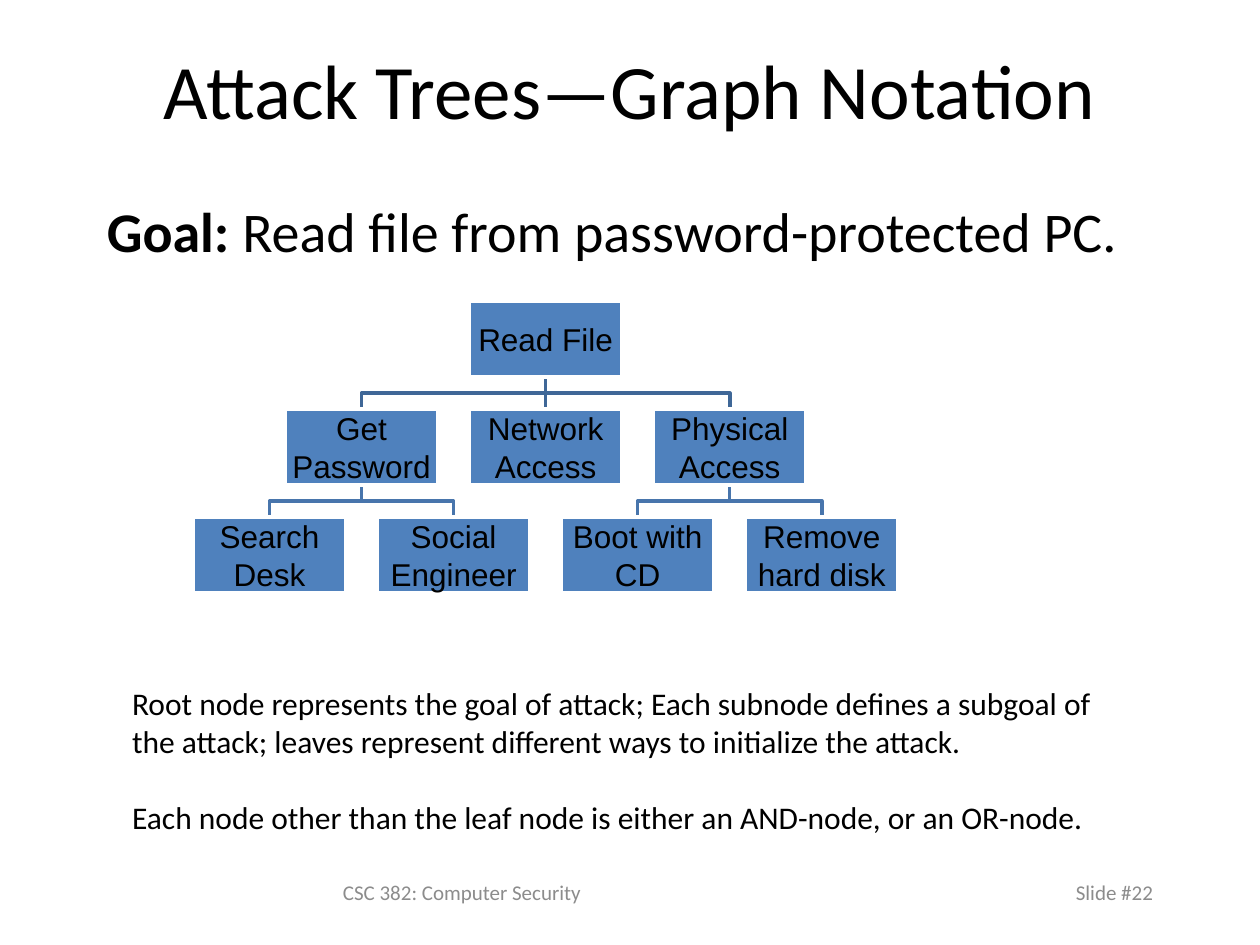
from pptx import Presentation
from pptx.dml.color import RGBColor
from pptx.enum import shapes, text
from pptx.util import Pt

BLACK = RGBColor(0x00, 0x00, 0x00)
WHITE = RGBColor(0xFF, 0xFF, 0xFF)
GRAY = RGBColor(0x8C, 0x8C, 0x8C)
BLUE = RGBColor(0x4F, 0x81, 0xBD)
LINKS = [RGBColor(0x3F, 0x67, 0x97), RGBColor(0x48, 0x75, 0xAC)]  # by depth

LEFT, MID, RIGHT = text.PP_ALIGN.LEFT, text.PP_ALIGN.CENTER, text.PP_ALIGN.RIGHT
TOP, CENTER = text.MSO_ANCHOR.TOP, text.MSO_ANCHOR.MIDDLE

NODE_W, NODE_H = 87.4, 43.4
ROOT_X, ROOT_Y = 311.8, 172.2
HALF, ROW = 52.6, 61.6

# Name, horizontal offset from the root in half steps, children
TREE = ("Read File", 0, [
    ("Get Password", -2, [("Search Desk", -3, []), ("Social Engineer", -1, [])]),
    ("Network Access", 0, []),
    ("Physical Access", 2, [("Boot with CD", 1, []), ("Remove hard disk", 3, [])]),
])


def add_run(para, words, size, font="Calibri", color=BLACK, bold=False):
    run = para.add_run()
    run.text = words
    run.font.name = font
    run.font.size = Pt(size)
    run.font.bold = bold
    run.font.color.rgb = color


def add_text(slide, box, lines, size, color=BLACK, align=LEFT, anchor=TOP, gap=0):
    """Add a text box; each line is a list of (words, bold) runs."""
    frame = slide.shapes.add_textbox(*map(Pt, box)).text_frame
    frame.word_wrap = True
    frame.vertical_anchor = anchor
    for i, runs in enumerate(lines):
        para = frame.add_paragraph() if i else frame.paragraphs[0]
        para.alignment = align
        if i:
            para.space_before = Pt(gap)
        for words, bold in runs:
            add_run(para, words, size, color=color, bold=bold)
    return frame


def add_node(slide, name, x, y):
    box = slide.shapes.add_shape(shapes.MSO_SHAPE.RECTANGLE, Pt(x - NODE_W / 2),
                                 Pt(y), Pt(NODE_W), Pt(NODE_H))
    box.shadow.inherit = False
    box.fill.solid()
    box.fill.fore_color.rgb = BLUE
    box.line.color.rgb = WHITE
    box.line.width = Pt(2)
    frame = box.text_frame
    frame.word_wrap = True
    frame.vertical_anchor = CENTER
    frame.margin_left = frame.margin_right = Pt(0.9)
    frame.margin_top = frame.margin_bottom = Pt(0.9)
    para = frame.paragraphs[0]
    para.alignment = MID
    add_run(para, name, 18, font="Arial")


def add_link(slide, x, y, end_x, end_y, color):
    """Draw a bent line from a parent's foot to a child's head."""
    mid = (y + end_y) / 2
    bends = [(x, mid), (end_x, mid)] if x != end_x else []
    path = slide.shapes.build_freeform(Pt(x), Pt(y))
    path.add_line_segments([(Pt(a), Pt(b)) for a, b in bends + [(end_x, end_y)]],
                           close=False)
    link = path.convert_to_shape()
    link.shadow.inherit = False
    link.fill.background()
    link.line.color.rgb = color
    link.line.width = Pt(2)


def add_tree(slide, node, depth=0):
    name, step, kids = node
    x, y = ROOT_X + step * HALF, ROOT_Y + depth * ROW
    for kid in kids:
        add_link(slide, x, y + NODE_H, ROOT_X + kid[1] * HALF, y + ROW, LINKS[depth])
        add_tree(slide, kid, depth + 1)
    add_node(slide, name, x, y)


def main():
    deck = Presentation()
    deck.slide_width, deck.slide_height = Pt(720), Pt(540)
    slide = deck.slides.add_slide(deck.slide_layouts[6])

    add_text(slide, (54, 12, 612, 78), [[("Attack Trees—Graph Notation", False)]],
             44, align=MID, anchor=CENTER)
    goal = add_text(slide, (54, 108.7, 618, 71.3),
                    [[("Goal:", True), (" Read file from password-protected PC.", False)]], 32)
    props = goal.paragraphs[0]._p.get_or_add_pPr()
    props.set("marL", str(Pt(27)))
    props.set("indent", str(Pt(-27)))

    add_tree(slide, TREE)

    add_text(slide, (68.4, 387.4, 568.8, 94.3), [
        [("Root node represents the goal of attack; Each subnode defines a subgoal of "
          "the attack; leaves represent different ways to initialize the attack.", False)],
        [("Each node other than the leaf node is either an AND-node, or an OR-node.", False)],
    ], 18, gap=22)
    add_text(slide, (54, 492, 420, 36), [[("CSC 382: Computer Security", False)]],
             12, GRAY, MID, CENTER)
    add_text(slide, (516, 492, 150, 36), [[("Slide #22", False)]],
             12, GRAY, RIGHT, CENTER)
    deck.save("out.pptx")


if __name__ == "__main__":
    main()
